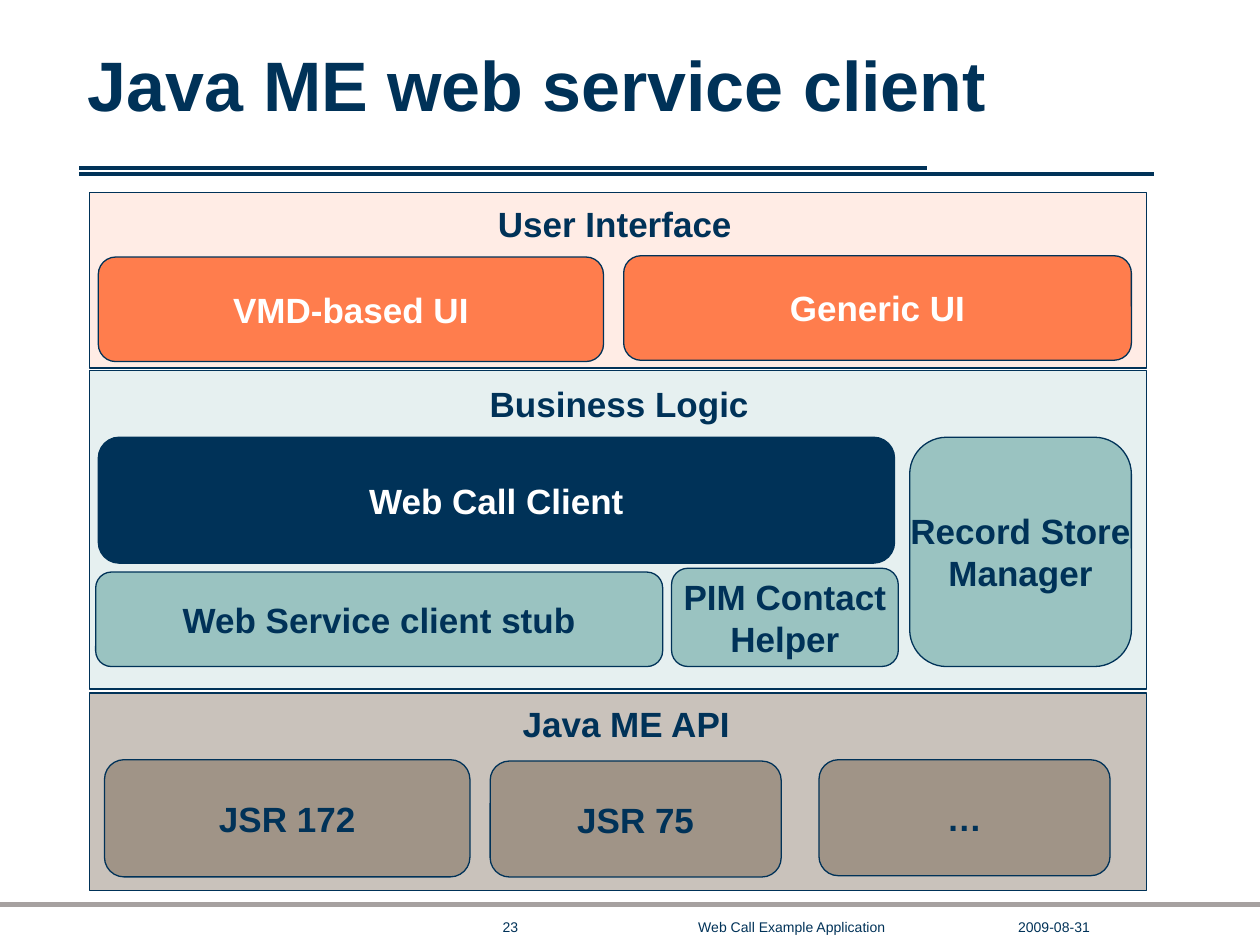
from lxml import etree
from pptx import Presentation
from pptx import util as u
from pptx.dml.color import RGBColor
from pptx.enum import shapes, text
from pptx.oxml.ns import qn

PX = 9144  # EMU per px, 100 px to the inch

NAVY, WHITE, GREY = "003258", "FFFFFF", "A6A1A0"
ORANGE, TEAL, BROWN = "FF7D4D", "9AC3C1", "A09487"
LEFT, CENTER, RIGHT = text.PP_ALIGN.LEFT, text.PP_ALIGN.CENTER, text.PP_ALIGN.RIGHT


def px(n):
    return u.Emu(n * PX)


def rgb(color):
    return RGBColor.from_string(color)


class Deck:
    font = "Arial"

    def __init__(self, width, height):
        self.prs = Presentation()
        self.prs.slide_width, self.prs.slide_height = px(width), px(height)
        self.s = self.prs.slides.add_slide(self.prs.slide_layouts[6])

    def set_text(self, tf, words, size, color, bold, align):
        tf.text = words
        for p in tf.paragraphs:
            p.alignment = align
            for r in p.runs:
                r.font.name, r.font.size, r.font.bold = self.font, u.Pt(size), bold
                r.font.color.rgb = rgb(color)

    def line(self, x1, y1, x2, y2, color, width):
        c = self.s.shapes.add_connector(
            shapes.MSO_CONNECTOR.STRAIGHT, px(x1), px(y1), px(x2), px(y2))
        c.line.color.rgb, c.line.width = rgb(color), u.Pt(width)
        etree.SubElement(c._element.spPr, qn("a:effectLst"))

    def label(self, words, x, y, w, h, size=20, bold=True, align=CENTER, wrap=True, pad=5):
        tf = self.s.shapes.add_textbox(px(x), px(y), px(w), px(h)).text_frame
        tf.word_wrap = wrap
        tf.margin_top = tf.margin_bottom = px(pad)
        self.set_text(tf, words, size, NAVY, bold, align)

    def shape(self, kind, x, y, w, h, fill):
        sp = self.s.shapes.add_shape(kind, px(x), px(y), px(w), px(h))
        sp.shadow.inherit = False
        sp.fill.solid()
        sp.fill.fore_color.rgb = rgb(fill)
        sp.line.color.rgb, sp.line.width = rgb(NAVY), u.Pt(0.75)
        return sp

    def layer(self, y, h, fill):
        self.shape(shapes.MSO_SHAPE.RECTANGLE, 71, y, 839, h, fill)

    def block(self, words, x, y, w, h, fill, color=NAVY):
        sp = self.shape(shapes.MSO_SHAPE.ROUNDED_RECTANGLE, x, y, w, h, fill)
        tf = sp.text_frame
        tf.word_wrap = False
        tf.vertical_anchor = text.MSO_ANCHOR.MIDDLE
        self.set_text(tf, words, 20, color, True, CENTER)


def main():
    deck = Deck(1000, 750)

    # Title and its rules
    deck.label("Java ME web service client", 60, 33, 856, 67, 40, align=LEFT, pad=0)
    deck.line(63, 133, 736, 133, NAVY, 2.25)
    deck.line(63, 138, 916, 138, NAVY, 2.25)

    # Footer
    deck.line(0, 718, 1000, 718, GREY, 3)
    for words, x, w, align in [("23", 389, 69, LEFT),
                               ("Web Call Example Application", 544, 169, CENTER),
                               ("2009-08-31", 798, 77, RIGHT)]:
        deck.label(words, x, 724, w, 24, 8, False, align, wrap=False)

    # User interface layer
    deck.layer(153, 139, "FFECE5")
    deck.label("User Interface", 336, 156, 304, 44)
    deck.block("VMD-based UI", 78, 204, 401, 83, ORANGE, WHITE)
    deck.block("Generic UI", 495, 203, 403, 83, ORANGE, WHITE)

    # Business logic layer
    deck.layer(294, 253, "E6F0F0")
    deck.label("Business Logic", 313, 299, 357, 44)
    deck.block("Web Call Client", 78, 347, 632, 100, NAVY, WHITE)
    deck.block("Web Service client stub", 76, 454, 450, 75, TEAL)
    deck.block("PIM Contact\nHelper", 533, 451, 180, 78, TEAL)
    deck.block("Record Store\nManager", 722, 347, 176, 182, TEAL)

    # Platform layer
    deck.layer(550, 157, "C9C2BB")
    deck.label("Java ME API", 336, 553, 322, 44)
    deck.block("JSR 172", 83, 603, 290, 93, BROWN)
    deck.block("JSR 75", 389, 604, 231, 92, BROWN)
    deck.block("…", 650, 603, 231, 92, BROWN)

    deck.prs.save("out.pptx")


if __name__ == "__main__":
    main()
